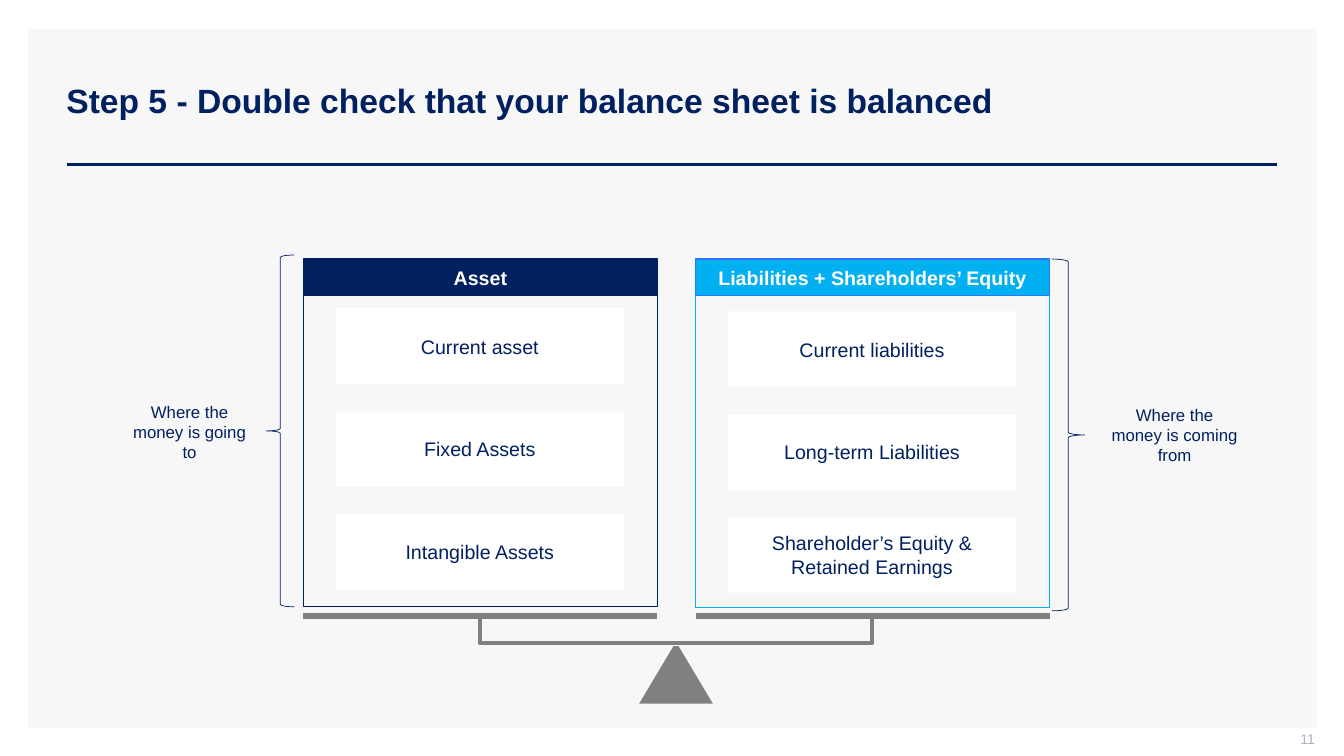
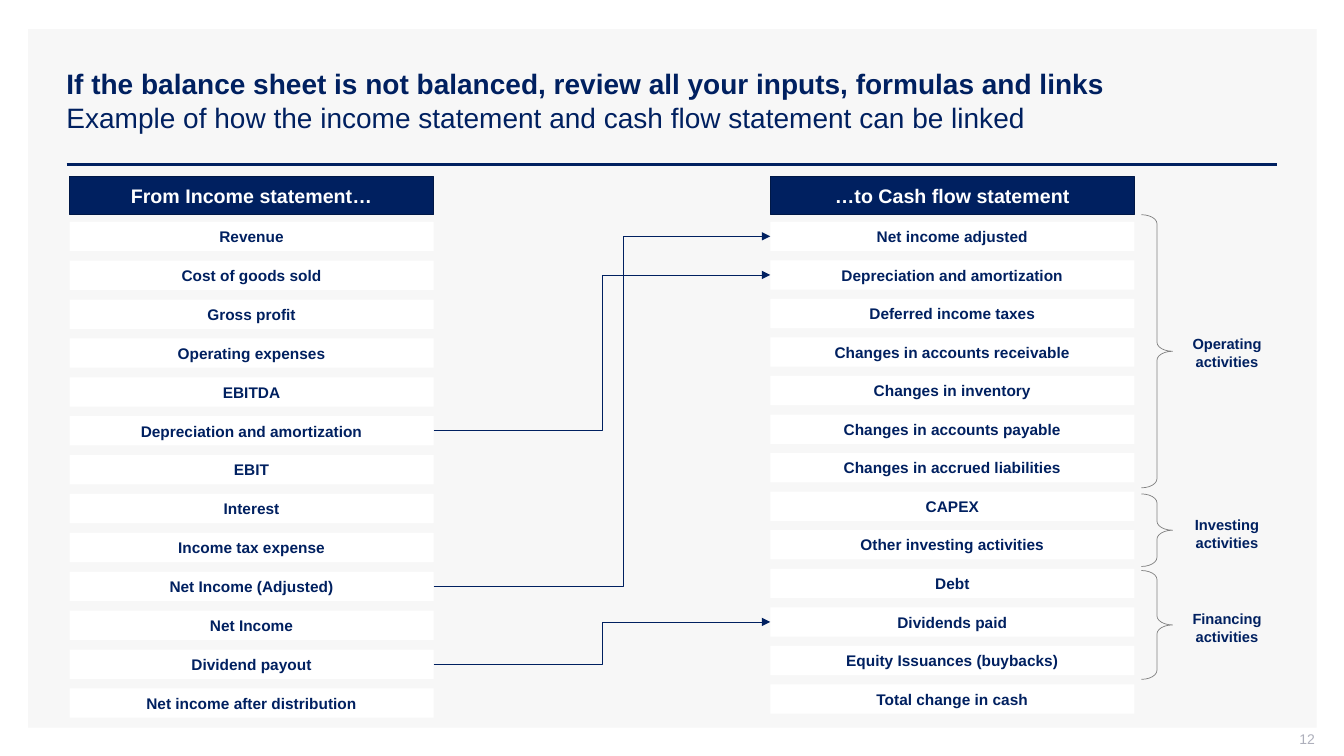
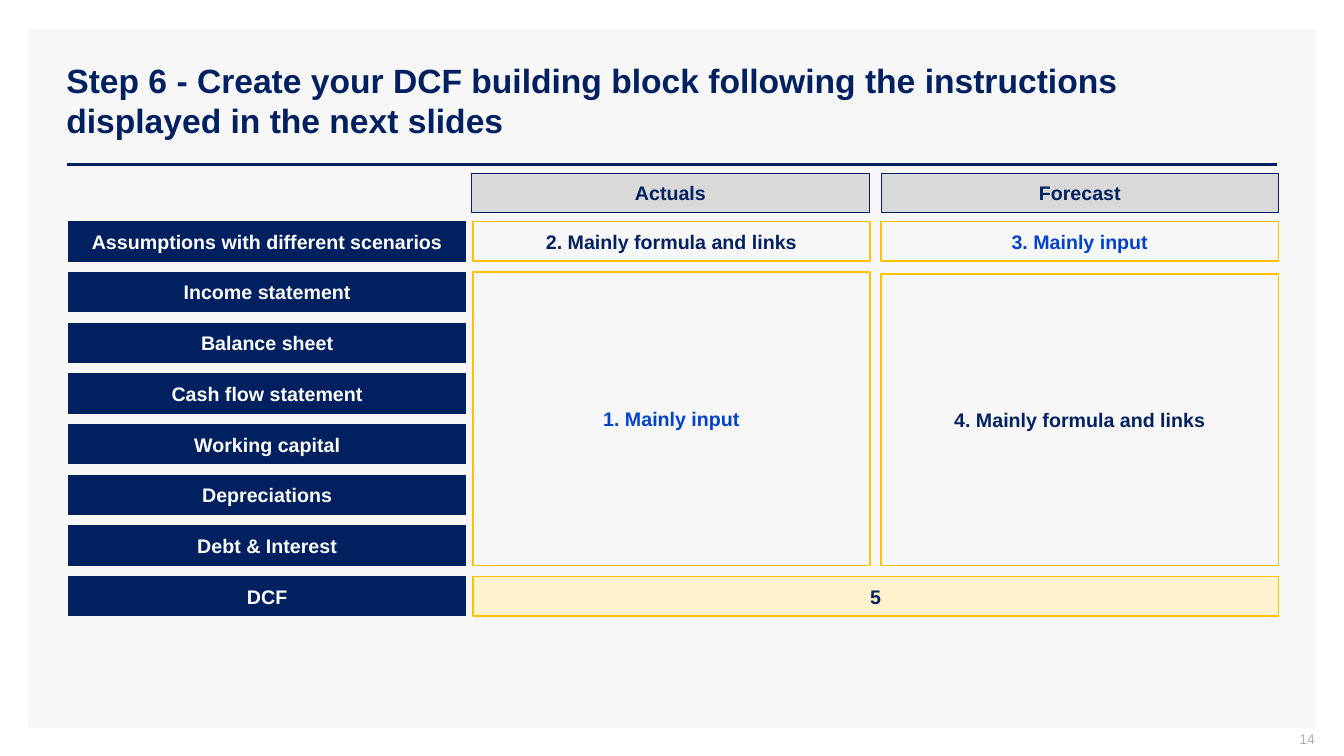
from dataclasses import dataclass
from pptx import Presentation
from pptx import util as u
from pptx.dml.color import RGBColor
from pptx.enum import shapes, text
from pptx.oxml.ns import qn
from lxml import etree


@dataclass(frozen=True)
class Theme:
    font: str = "Arial"
    navy: str = "002060"
    deep: str = "001847"
    sky: str = "00B0F0"
    blue: str = "3075FF"
    link: str = "0042C8"
    gold: str = "FFC000"
    cream: str = "FFF2CC"
    gray: str = "808080"
    pale: str = "D9D9D9"
    panel: str = "F7F7F7"
    white: str = "FFFFFF"
    mute: str = "ADAFBB"
    title: float = 24
    sub: float = 20
    body: float = 14
    note: float = 12
    row: float = 11
    tag: float = 10.5
    page: float = 10


T = Theme()
KIND = shapes.MSO_SHAPE
LINE = shapes.MSO_CONNECTOR
ALIGN = text.PP_ALIGN
UNIT = 9144

SIDES = [
    (301, 286, 306, "Asset", T.navy, T.navy,
     ["Current asset", "Fixed Assets", "Intangible Assets"]),
    (690, 287, 309, "Liabilities + Shareholders’ Equity", T.sky, T.blue,
     ["Current liabilities", "Long-term Liabilities",
      "Shareholder’s Equity & Retained Earnings"]),
]
NOTES = [
    (KIND.LEFT_BRACE, (264, 253, 28, 349), (114, 393, 148, 71),
     "Where the money is going to"),
    (KIND.RIGHT_BRACE, (1043, 257, 33, 349), (1091, 396, 148, 71),
     "Where the money is coming from"),
]
BEAM = [(476, 613), (476, 638), (865, 638), (865, 610)]
PIVOT = [(634, 698), (668, 641), (673, 641), (707, 698)]

LISTS = [
    (69, 683, "From Income statement…",
     ["Revenue", "Cost of goods sold", "Gross profit", "Operating expenses",
      "EBITDA", "Depreciation and amortization", "EBIT", "Interest",
      "Income tax expense", "Net Income (Adjusted)", "Net Income",
      "Dividend payout", "Net income after distribution"]),
    (764, 679, "…to Cash flow statement",
     ["Net income adjusted", "Depreciation and amortization",
      "Deferred income taxes", "Changes in accounts receivable",
      "Changes in inventory", "Changes in accounts payable",
      "Changes in accrued liabilities", "CAPEX", "Other investing activities",
      "Debt", "Dividends paid", "Equity Issuances (buybacks)",
      "Total change in cash"]),
]
LINKS = [
    ("Net Income (Adjusted)", "Net income adjusted", 56400),
    ("Depreciation and amortization", "Depreciation and amortization", 50000),
    ("Dividend payout", "Dividends paid", 50000),
]
GROUPS = [
    (213, 271, 327, "Operating activities"),
    (490, 72, 507, "Investing activities"),
    (566, 108, 600, "Financing activities"),
]

BLOCKS = ["Assumptions with different scenarios", "Income statement",
          "Balance sheet", "Cash flow statement", "Working capital",
          "Depreciations", "Debt & Interest", "DCF"]
HEADS = [(468, "Actuals"), (874, "Forecast")]
CELLS = [
    ((469, 270, 394, 291), "1. Mainly input", T.link, None),
    ((874, 272, 394, 289), "4. Mainly formula and links", T.navy, None),
    ((469, 220, 394, 39), "2. Mainly formula and links", T.navy, None),
    ((874, 220, 394, 39), "3. Mainly input", T.link, None),
    ((469, 572, 799, 39), "5", T.navy, T.cream),
]


def px(n):
    return u.Emu(round(n * UNIT))


def rgb(code):
    return RGBColor.from_string(code)


def paint(shape, fill=None, edge=None, width=1):
    shape.shadow.inherit = False
    if fill:
        shape.fill.solid()
        shape.fill.fore_color.rgb = rgb(fill)
    else:
        shape.fill.background()
    if edge:
        shape.line.color.rgb = rgb(edge)
        shape.line.width = u.Pt(width)
    else:
        shape.line.fill.background()
    return shape


def write(shape, words, size=T.body, color=T.navy, bold=False,
          align=ALIGN.CENTER, inset=(10, 5, 10, 5)):
    frame = shape.text_frame
    frame.word_wrap = True
    frame.vertical_anchor = text.MSO_ANCHOR.MIDDLE
    (frame.margin_left, frame.margin_top,
     frame.margin_right, frame.margin_bottom) = map(px, inset)
    lines = [(words, bold)] if isinstance(words, str) else words
    for i, (line, heavy) in enumerate(lines):
        para = frame.add_paragraph() if i else frame.paragraphs[0]
        para.alignment = align
        run = para.add_run()
        run.text = line
        run.font.name = T.font
        run.font.size = u.Pt(size)
        run.font.bold = heavy
        run.font.color.rgb = rgb(color)
    return shape


def box(slide, at, fill=None, edge=None, width=1, kind=KIND.RECTANGLE):
    return paint(slide.shapes.add_shape(kind, *map(px, at)), fill, edge, width)


def label(slide, at, words, **look):
    return write(slide.shapes.add_textbox(*map(px, at)), words, **look)


def wire(slide, start, end, color, width, kind=LINE.STRAIGHT):
    line = slide.shapes.add_connector(kind, *map(px, start + end))
    line.line.color.rgb = rgb(color)
    line.line.width = u.Pt(width)
    etree.SubElement(line._element.spPr, qn("a:effectLst"))
    return line


def link(slide, left, right, bend):
    line = wire(slide, (0, 0), (0, 0), T.navy, 0.5, LINE.ELBOW)
    line.begin_connect(left, 3)
    line.end_connect(right, 1)
    props = line._element.spPr
    etree.SubElement(props.find(qn("a:ln")), qn("a:tailEnd"), type="triangle")
    guides = props.find(qn("a:prstGeom")).get_or_add_avLst()
    etree.SubElement(guides, qn("a:gd"), name="adj1", fmla=f"val {bend}")


def trace(slide, points, closed):
    pen = slide.shapes.build_freeform(*points[0], scale=UNIT)
    pen.add_line_segments(points[1:], close=closed)
    return pen.convert_to_shape()


def start(deck, title, page, size=T.title):
    slide = deck.slides.add_slide(deck.slide_layouts[6])
    box(slide, (28, 29, 1278, 693), T.panel)
    wire(slide, (66, 163), (1267, 163), T.navy, 2)
    label(slide, (56, 40, 1211, 119), title, size=size, bold=True,
          align=ALIGN.LEFT)
    label(slide, (1004, 725, 300, 21), page, size=T.page, color=T.mute,
          align=ALIGN.RIGHT, inset=(10, 0, 0, 5))
    return slide


def balance(deck):
    slide = start(deck, "Step 5 - Double check that your balance sheet is balanced",
                  "11")
    paint(trace(slide, BEAM, False), None, T.gray, 2.75)
    paint(trace(slide, PIVOT, True), T.gray)
    for x, top, first, head, fill, edge, rows in SIDES:
        box(slide, (x, top, 351, 316), None, fill)
        wire(slide, (x, 611), (x + 351, 611), T.gray, 4)
        write(box(slide, (x, 257, 351, 36), fill, edge), head,
              color=T.white, bold=True, inset=(4, 4, 4, 4))
        for i, row in enumerate(rows):
            write(box(slide, (x + 32, first + 102 * i, 286, 75), T.white), row)
    for kind, brace, at, words in NOTES:
        box(slide, brace, None, T.navy, 0.5, kind)
        label(slide, at, words, size=T.note)


def flows(deck):
    slide = start(deck, [
        ("If the balance sheet is not balanced, review all your inputs, "
         "formulas and links", True),
        ("Example of how the income statement and cash flow statement "
         "can be linked", False)], "12", T.sub)
    cols = []
    for x, last, head, rows in LISTS:
        write(box(slide, (x, 175, 361, 38), T.navy, T.deep), head,
              color=T.white, bold=True)
        step = (last - 220) / (len(rows) - 1)
        cols.append({
            row: write(box(slide, (x, 220 + step * i, 361, 29), T.white), row,
                       size=T.row, bold=True)
            for i, row in enumerate(rows)})
    for top, high, y, words in GROUPS:
        brace = box(slide, (1132, top, 31, high), None, T.gray, 0.5,
                    KIND.RIGHT_BRACE)
        brace.adjustments[0] = 0.29
        label(slide, (1155, y, 124, 45), words, size=T.tag, bold=True)
    for left, right, bend in LINKS:
        link(slide, cols[0][left], cols[1][right], bend)


def plan(deck):
    slide = start(deck, "Step 6 - Create your DCF building block following the "
                  "instructions displayed in the next slides", "14")
    step = (572 - 220) / (len(BLOCKS) - 1)
    for i, name in enumerate(BLOCKS):
        write(box(slide, (68, 220 + step * i, 394, 39), T.navy, T.navy, 0.75),
              name, color=T.white, bold=True)
    for x, name in HEADS:
        write(box(slide, (x, 172, 394, 39), T.pale, T.navy, 0.75), name,
              bold=True)
    for at, words, color, fill in CELLS:
        write(box(slide, at, fill, T.gold), words, color=color, bold=True)


def main():
    deck = Presentation()
    deck.slide_width, deck.slide_height = px(1333), px(750)
    for build in (balance, flows, plan):
        build(deck)
    deck.save("out.pptx")


if __name__ == "__main__":
    main()
